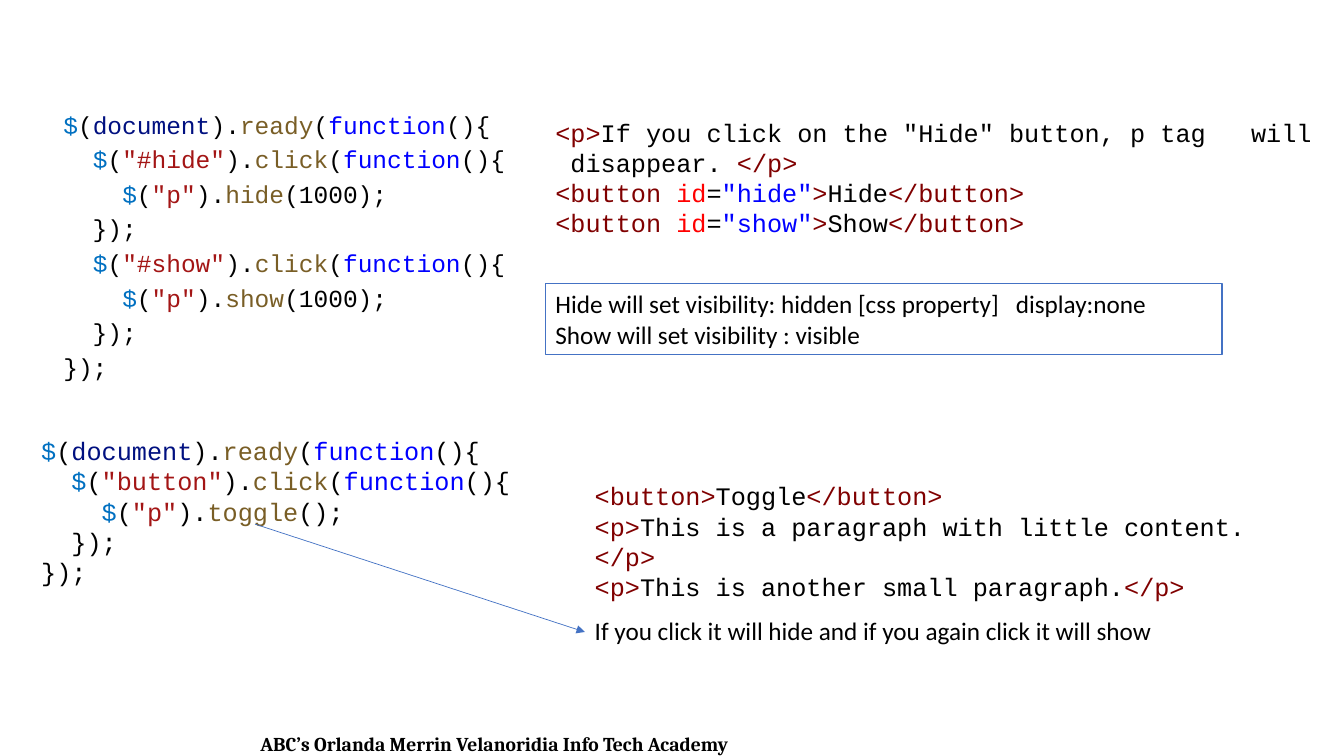
from lxml import etree
from pptx import Presentation, util as u
from pptx.dml.color import RGBColor
from pptx.enum import shapes, text
from pptx.oxml.ns import qn

HEX = {"k": "000000", "w": "FFFFFF", "line": "4472C4", "c": "0070C1",
       "n": "001080", "f": "795E26", "b": "0000FF", "s": "A31515",
       "t": "800000", "r": "FF0000"}
READY = "c$|k(|ndocument|k).|fready|k(|bfunction|k(){"
OPEN = "|k(|bfunction|k(){"


def call(pad, pick, verb):
    return f'k{pad}|c$|k(|s"{pick}"|k).|f{verb}'


def button(name, label):
    return f't<button |rid|k=|b"{name}"|t>|k{label}|t</button>'


class Deck:
    """Holds the text style and the current slide."""

    def __init__(self):
        self.prs = Presentation()
        self.prs.slide_width = u.Inches(13.33)
        self.prs.slide_height = u.Inches(7.5)
        self.slide = self.prs.slides.add_slide(self.prs.slide_layouts[6])
        self.font, self.mono, self.size = "Calibri", "Courier New", 18

    def color(self, key):
        return RGBColor.from_string(HEX[key])

    def style(self, run, key="k", font=None, size=None, bold=False):
        run.font.name = font or self.font
        run.font.size = u.Pt(size or self.size)
        run.font.bold = bold
        run.font.color.rgb = self.color(key)

    def frame(self, *spot):
        box = self.slide.shapes.add_textbox(*map(u.Inches, spot))
        box.text_frame.word_wrap = True
        return box.text_frame

    def fill(self, frame, words, align=text.PP_ALIGN.LEFT, **look):
        frame.text = words
        for para in frame.paragraphs:
            para.alignment = align
            for run in para.runs:
                self.style(run, **look)

    def note(self, words, *spot, **look):
        self.fill(self.frame(*spot), words, **look)

    def code(self, rows, *spot, size=None, ratio=None, gap=0):
        frame = self.frame(*spot)
        for i, row in enumerate(rows):
            para = frame.paragraphs[0] if i == 0 else frame.add_paragraph()
            if ratio:
                para.line_spacing = ratio
            if i and gap:
                para.space_before = u.Pt(gap)
            for part in row.split("|"):
                run = para.add_run()
                run.text = part[1:].replace(" ", chr(160))
                self.style(run, part[0], self.mono, size)

    def panel(self, words, *spot):
        box = self.slide.shapes.add_shape(
            shapes.MSO_SHAPE.RECTANGLE, *map(u.Inches, spot))
        box.shadow.inherit = False
        box.fill.solid()
        box.fill.fore_color.rgb = self.color("w")
        box.line.color.rgb = self.color("line")
        box.line.width = u.Pt(1)
        box.text_frame.word_wrap = True
        self.fill(box.text_frame, words)

    def arrow(self, *ends):
        link = self.slide.shapes.add_connector(
            shapes.MSO_CONNECTOR.STRAIGHT, *map(u.Inches, ends))
        link.line.color.rgb = self.color("line")
        link.line.width = u.Pt(0.5)
        etree.SubElement(link.line._get_or_add_ln(), qn("a:tailEnd"), type="triangle")
        etree.SubElement(link._element.spPr, qn("a:effectLst"))


def main():
    deck = Deck()
    deck.note("ABC’s Orlanda Merrin Velanoridia Info Tech Academy", 0.25, 7.21, 9.31, 0.34,
              align=text.PP_ALIGN.CENTER, font="Cambria", size=14, bold=True)
    rows = [READY]
    for verb in ("hide", "show"):
        rows += [call("  ", "#" + verb, "click") + OPEN,
                 call("    ", "p", verb) + "|k(1000);", "k  });"]
    deck.code(rows + ["k});"], 0.53, 1.12, 4.88, 2.95, size=17.5, ratio=0.7, gap=10)
    deck.code(['t<p>|kIf you click on the "Hide" button, p tag   will  disappear. |t</p>',
               button("hide", "Hide"), button("show", "Show")], 5.41, 1.11, 7.92, 1.31)
    deck.code([READY, call("  ", "button", "click") + OPEN,
               call("    ", "p", "toggle") + "|k();", "k  });", "k});"],
              0.31, 4.27, 6.71, 1.62)
    deck.code(["t<button>|kToggle|t</button>",
               "t<p>|kThis is a paragraph with little content.|t</p>",
               "t<p>|kThis is another small paragraph.|t</p>"], 5.8, 4.72, 6.71, 1.31)
    deck.note("If you click it will hide and if you again click it will show",
              5.8, 6.06, 6.91, 0.4)
    deck.arrow(2.53, 5.2, 5.8, 6.27)
    deck.panel("Hide will set visibility: hidden [css property]   display:none\n"
               "Show will set visibility : visible", 5.41, 2.81, 6.71, 0.71)
    deck.prs.save("out.pptx")


if __name__ == "__main__":
    main()
